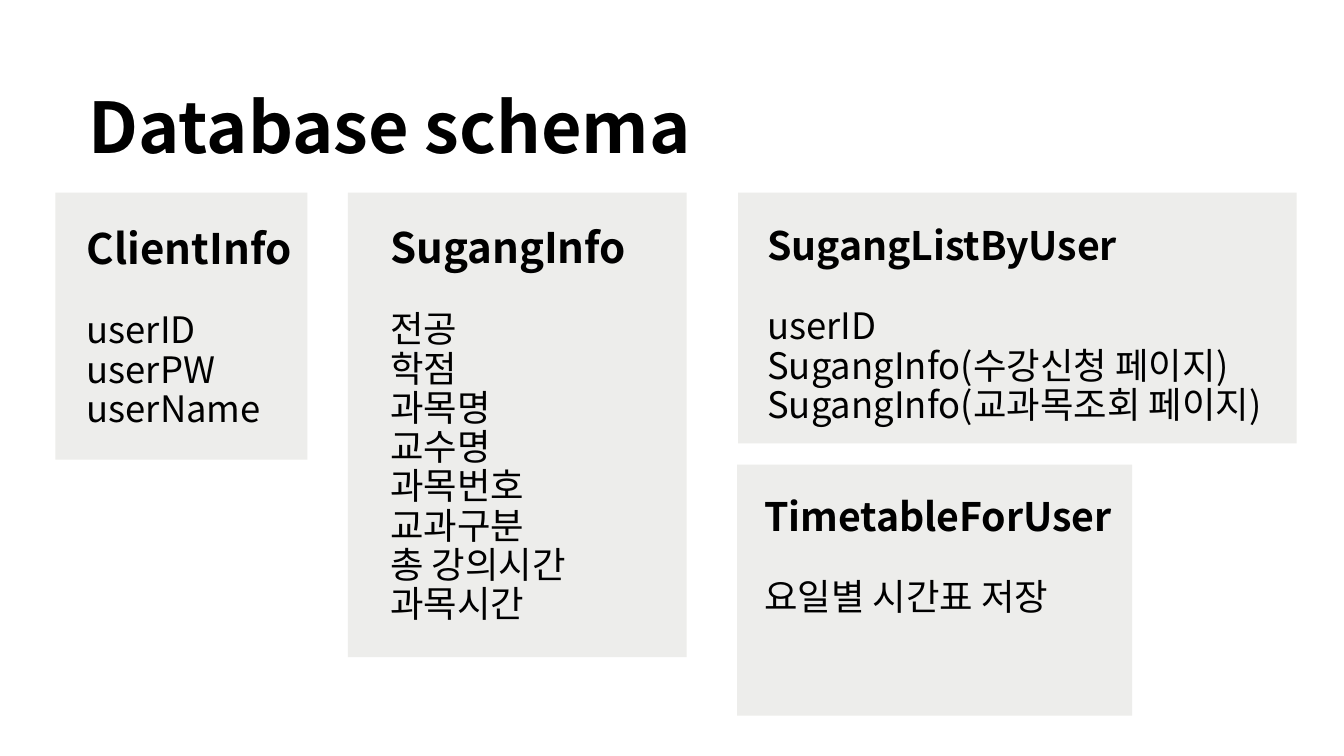
from pptx import Presentation
from pptx.dml.color import RGBColor
from pptx.enum.shapes import MSO_SHAPE as Shape
from pptx.enum.text import MSO_ANCHOR as Anchor, MSO_AUTO_SIZE as Auto, PP_ALIGN as Align
from pptx.oxml.ns import qn
from pptx.util import Inches, Pt
from lxml.etree import SubElement

BLACK = RGBColor(0x00, 0x00, 0x00)
GREY = RGBColor(0xED, 0xED, 0xEB)
FONT = "Noto Sans CJK KR"


def write(para, text, size=26, bold=False, line=0.9, before=0, after=0, indent=0.17):
    """Fill one paragraph with a formatted run."""
    para.alignment = Align.LEFT
    para.line_spacing = line
    para.space_before, para.space_after = Pt(before), Pt(after)
    props = para._p.get_or_add_pPr()
    props.set("marL", str(Inches(indent)))
    props.set("indent", "0")
    SubElement(props, qn("a:buNone"))
    run = para.add_run()
    run.text = text
    font = run.font
    font.name, font.size, font.bold = FONT, Pt(size), bold
    font.color.rgb = BLACK
    SubElement(run._r.get_or_add_rPr(), qn("a:ea")).set("typeface", FONT)


class Deck:
    def __init__(self):
        self.prs = Presentation()
        self.prs.slide_width, self.prs.slide_height = Inches(13.33), Inches(7.5)
        self.slide = self.prs.slides.add_slide(self.prs.slide_layouts[1])
        self.pad = Inches(0.13)

    def frame(self, shape, box):
        """Place a text shape and set up its frame."""
        shape.left, shape.top, shape.width, shape.height = map(Inches, box)
        frame = shape.text_frame
        frame.word_wrap = True
        frame.auto_size = Auto.NONE
        frame.vertical_anchor = Anchor.TOP
        frame.margin_left = frame.margin_right = self.pad
        frame.margin_top = frame.margin_bottom = self.pad
        return frame

    def title(self, text, box):
        frame = self.frame(self.slide.shapes.title, box)
        write(frame.paragraphs[0], text, size=50, bold=True, line=1.15, after=21.3, indent=0)

    def panel(self, box):
        rect = self.slide.shapes.add_shape(Shape.RECTANGLE, *map(Inches, box))
        rect.shadow.inherit = False
        rect.fill.solid()
        rect.fill.fore_color.rgb = GREY
        rect.line.fill.background()

    def table(self, head, rows, box, size, body=False):
        """Write a schema name with its fields below."""
        shapes = self.slide.shapes
        if body:
            shape = self.slide.placeholders[1]
            # Bring the list in front of its panel
            shapes._spTree.append(shape._element)
        else:
            shape = shapes.add_textbox(*map(Inches, box))
        frame = self.frame(shape, box)
        write(frame.paragraphs[0], head, size=size, bold=True)
        for num, row in enumerate(rows):
            write(frame.add_paragraph(), row, before=0 if num else 28)

    def save(self):
        self.prs.save("out.pptx")


# Schemas: name, fields, panel box, text box, name size
TABLES = [
    ("ClientInfo", ["userID", "userPW", "userName"],
     (0.55, 1.91, 2.5, 2.65), (0.56, 2.13, 2.5, 2.13), 30),
    ("SugangInfo", ["전공", "학점", "과목명", "교수명", "과목번호", "교과구분",
                    "총 강의시간", "과목시간"],
     (3.45, 1.91, 3.36, 4.61), (3.57, 2.12, 3.06, 4.77), 30),
    ("SugangListByUser", ["userID", "SugangInfo(수강신청 페이지)",
                          "SugangInfo(교과목조회 페이지)"],
     (7.32, 1.91, 5.54, 2.49), (7.31, 2.12, 5.55, 2.28), 28),
    ("TimetableForUser", ["요일별 시간표 저장"],
     (7.31, 4.61, 3.92, 2.49), (7.28, 4.81, 3.96, 2.28), 28),
]


def main():
    deck = Deck()

    # Heading
    deck.title("Database schema", (0.75, 0.57, 12.42, 1.15))

    # Panels with their fields; the first uses the body placeholder
    for num, (head, rows, panel, box, size) in enumerate(TABLES):
        deck.panel(panel)
        deck.table(head, rows, box, size, body=num == 0)

    deck.save()


if __name__ == "__main__":
    main()
